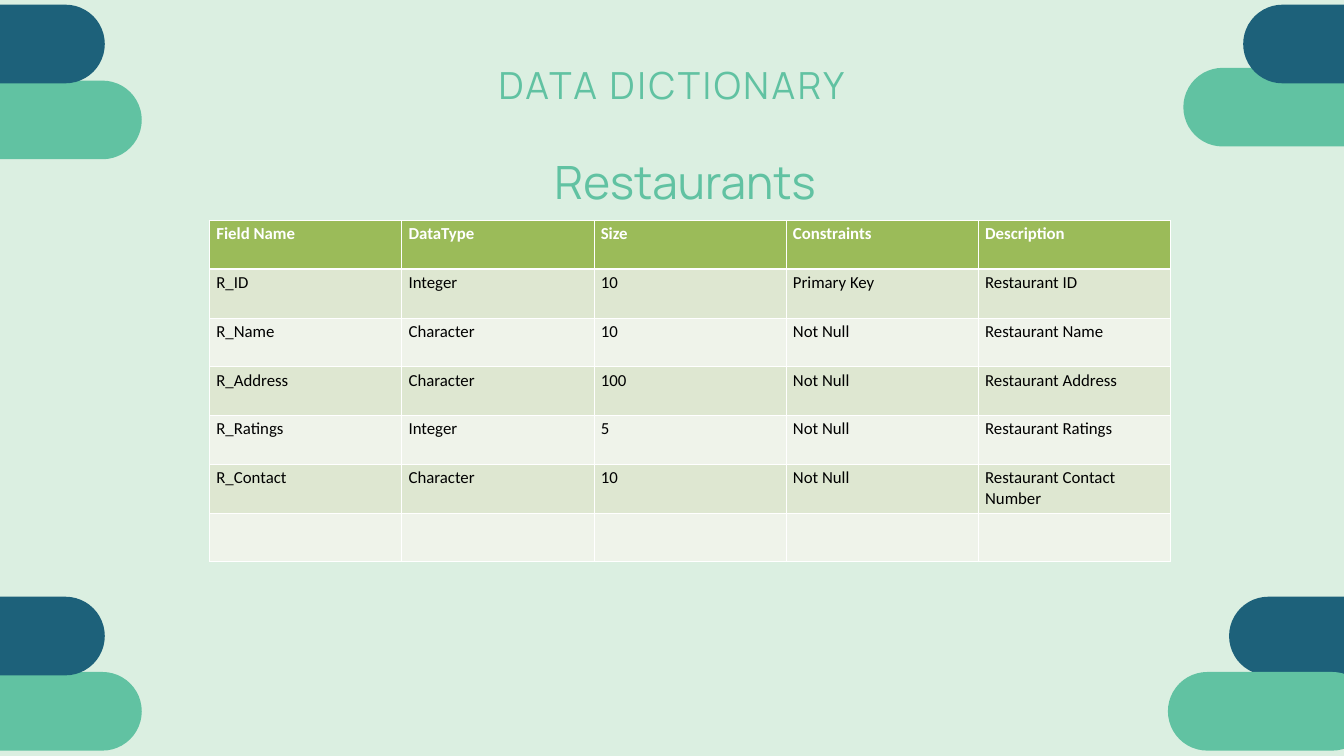
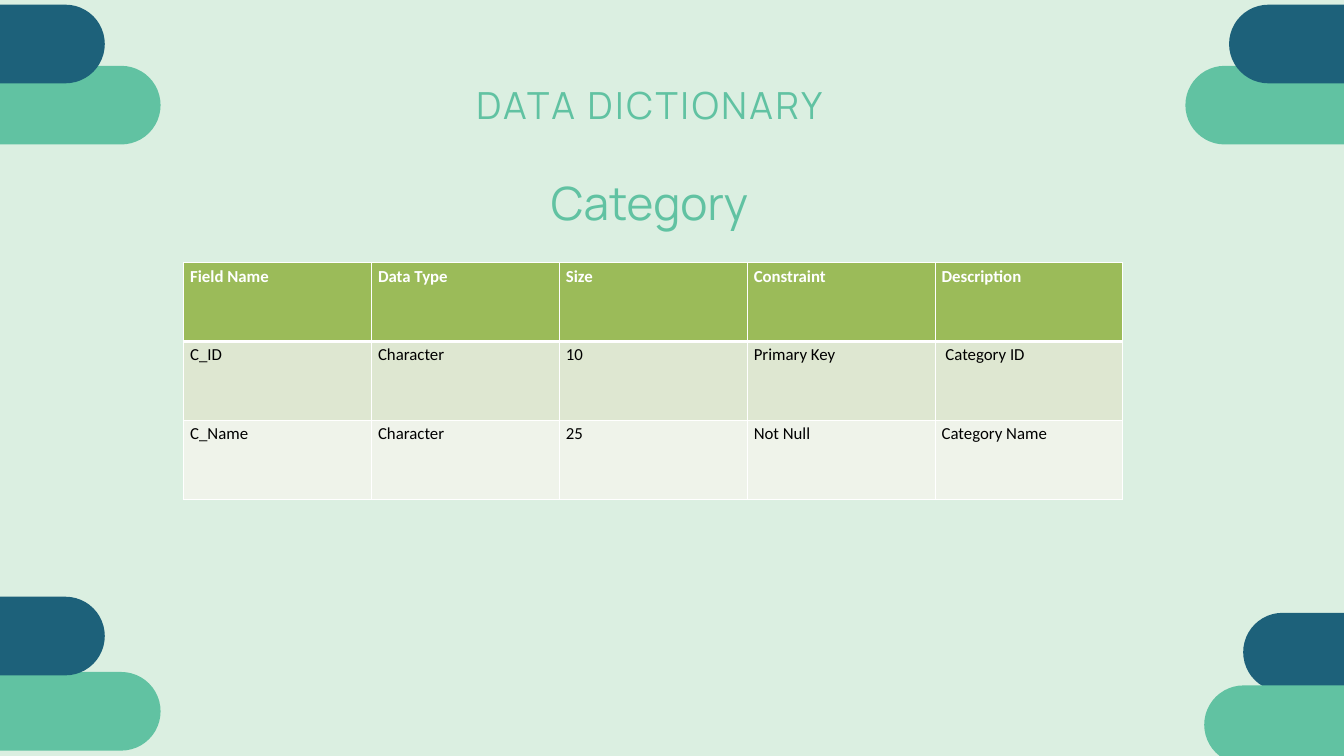
from dataclasses import dataclass
from typing import NamedTuple

from pptx import Presentation, util as u
from pptx.dml.color import RGBColor
from pptx.enum import shapes, text
from pptx.oxml.ns import qn
from lxml import etree

COLUMNS, ROWS = 20, 11.25
CELL = u.Inches(1)  # side of one square of the slide grid
COLORS = {
    "background": "DBEFE1",
    "green": "61C2A2",
    "navy": "1D617A",
    "header": "9BBB59",
    "odd row": "DEE7D1",
    "even row": "EFF3EA",
    "white": "FFFFFF",
    "black": "000000",
}
PILL_WIDTH, PILL_HEIGHT = 3.03, 1.17
TOP, BOTTOM = 0.07, 8.88  # rows of the navy pills on the left
FOOT = 10  # row of the green pills at the bottom


class Area(NamedTuple):
    column: float
    row: float
    width: float
    height: float

    def lengths(self) -> list[int]:
        return [round(share * CELL) for share in self]


class Pill(NamedTuple):
    column: float
    row: float
    color: str


@dataclass
class Entity:
    name: str
    heading_area: Area
    name_area: Area
    fields_area: Area
    fields: list[tuple[str, ...]]
    left_green: tuple[float, float]  # column, row of the upper pill
    right_pills: list[Pill]


ENTITIES = [
    Entity(
        "Restaurants",
        Area(6.87, 0.93, 6.25, 0.67),
        Area(7.74, 2.15, 4.91, 0.97),
        Area(3.12, 3.28, 14.3, 5.08),
        [
            ("Field Name", "DataType", "Size", "Constraints", "Description"),
            ("R_ID", "Integer", "10", "Primary Key", "Restaurant ID"),
            ("R_Name", "Character", "10", "Not Null", "Restaurant Name"),
            ("R_Address", "Character", "100", "Not Null", "Restaurant Address"),
            ("R_Ratings", "Integer", "5", "Not Null", "Restaurant Ratings"),
            ("R_Contact", "Character", "10", "Not Null", "Restaurant Contact Number"),
            ("",) * 5,
        ],
        (-0.92, 1.2),
        [
            Pill(17.61, 1.01, "green"),
            Pill(18.5, TOP, "navy"),
            Pill(18.29, BOTTOM, "navy"),
            Pill(17.38, FOOT, "green"),
        ],
    ),
    Entity(
        "Category",
        Area(6.54, 1.23, 6.25, 0.67),
        Area(8.11, 2.46, 3.11, 0.9),
        Area(2.73, 3.91, 13.98, 3.52),
        [
            ("Field Name", "Data Type", "Size", "Constraint", "Description"),
            ("C_ID", "Character", "10", "Primary Key", " Category ID"),
            ("C_Name", "Character", "25", "Not Null", "Category Name"),
        ],
        (-0.64, 0.98),
        [
            Pill(17.64, 0.98, "green"),
            Pill(18.29, TOP, "navy"),
            Pill(18.5, 9.12, "navy"),
            Pill(17.92, 10.2, "green"),
        ],
    ),
]


def rgb(color: str) -> RGBColor:
    return RGBColor.from_string(COLORS[color])


def write(frame, words: str, *, size: float, font: str, color: str, bold: bool = False,
          align=None, leading: float | None = None, tracking: float = 0) -> None:
    """Put one formatted run in the frame; sizes, leading and tracking in points."""
    line = frame.paragraphs[0]
    line.alignment = align
    if leading:
        line.line_spacing = u.Pt(leading)
    run = line.add_run()
    run.text = words
    run.font.size = u.Pt(size)
    run.font.name = font
    run.font.bold = bold
    run.font.color.rgb = rgb(color)
    if tracking:
        run.font._element.set("spc", str(round(tracking * 100)))


def draw_pill(slide, pill: Pill) -> None:
    area = Area(pill.column, pill.row, PILL_WIDTH, PILL_HEIGHT)
    shape = slide.shapes.add_shape(shapes.MSO_SHAPE.ROUNDED_RECTANGLE, *area.lengths())
    shape.adjustments[0] = 0.5
    shape.shadow.inherit = False
    shape.fill.solid()
    shape.fill.fore_color.rgb = rgb(pill.color)
    shape.line.fill.background()


def draw_corners(slide, entity: Entity) -> None:
    column, row = entity.left_green
    left_pills = [
        Pill(column, row, "green"),
        Pill(column, FOOT, "green"),
        Pill(-1.47, BOTTOM, "navy"),
        Pill(-1.47, TOP, "navy"),
    ]
    for pill in left_pills + entity.right_pills:
        draw_pill(slide, pill)


def draw_title(slide, area: Area, words: str, *, size: float, leading: float,
               tracking: float = 0) -> None:
    frame = slide.shapes.add_textbox(*area.lengths()).text_frame
    frame.word_wrap = True
    frame.auto_size = text.MSO_AUTO_SIZE.SHAPE_TO_FIT_TEXT
    frame.margin_left = frame.margin_right = frame.margin_top = frame.margin_bottom = 0
    write(frame, words, size=size, font="Manrope", color="green",
          align=text.PP_ALIGN.CENTER, leading=leading, tracking=tracking)


def border_cell(cell, *, top: float = 1, bottom: float = 1) -> None:
    properties = cell._tc.get_or_add_tcPr()
    widths = {"lnL": 1, "lnR": 1, "lnT": top, "lnB": bottom}
    for position, (side, width) in enumerate(widths.items()):
        edge = etree.Element(qn(f"a:{side}"), w=str(u.Pt(width)))
        fill = etree.SubElement(edge, qn("a:solidFill"))
        etree.SubElement(fill, qn("a:srgbClr"), val=COLORS["white"])
        properties.insert(position, edge)  # edges come before the cell's fill


def draw_fields(slide, area: Area, fields: list[tuple[str, ...]]) -> None:
    table = slide.shapes.add_table(len(fields), len(fields[0]), *area.lengths()).table
    for row, values in enumerate(fields):
        is_header = row == 0
        band = "header" if is_header else "odd row" if row % 2 else "even row"
        for column, value in enumerate(values):
            cell = table.cell(row, column)
            cell.fill.solid()
            cell.fill.fore_color.rgb = rgb(band)
            border_cell(cell, top=3 if row == 1 else 1, bottom=3 if is_header else 1)
            if value:
                write(cell.text_frame, value, size=18, font="Calibri", bold=is_header,
                      color="white" if is_header else "black")


def add_entity_slide(deck, entity: Entity) -> None:
    slide = deck.slides.add_slide(deck.slide_layouts[6])
    slide.background.fill.solid()
    slide.background.fill.fore_color.rgb = rgb("background")
    draw_corners(slide, entity)
    draw_title(slide, entity.heading_area, "DATA DICTIONARY",
               size=40, leading=48, tracking=2.8)
    draw_title(slide, entity.name_area, entity.name, size=49.1, leading=68.7)
    draw_fields(slide, entity.fields_area, entity.fields)


def main() -> None:
    deck = Presentation()
    deck.slide_width = round(COLUMNS * CELL)
    deck.slide_height = round(ROWS * CELL)
    for entity in ENTITIES:
        add_entity_slide(deck, entity)
    deck.save("out.pptx")


if __name__ == "__main__":
    main()
